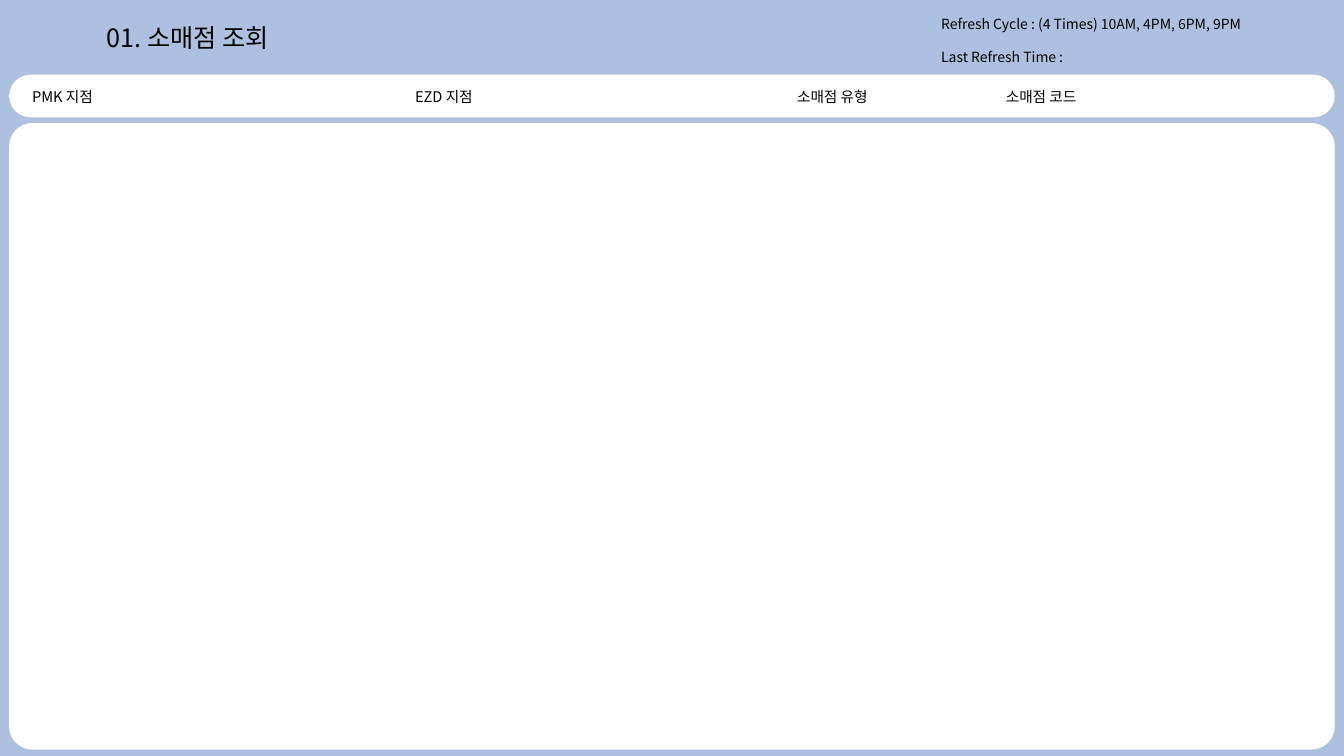
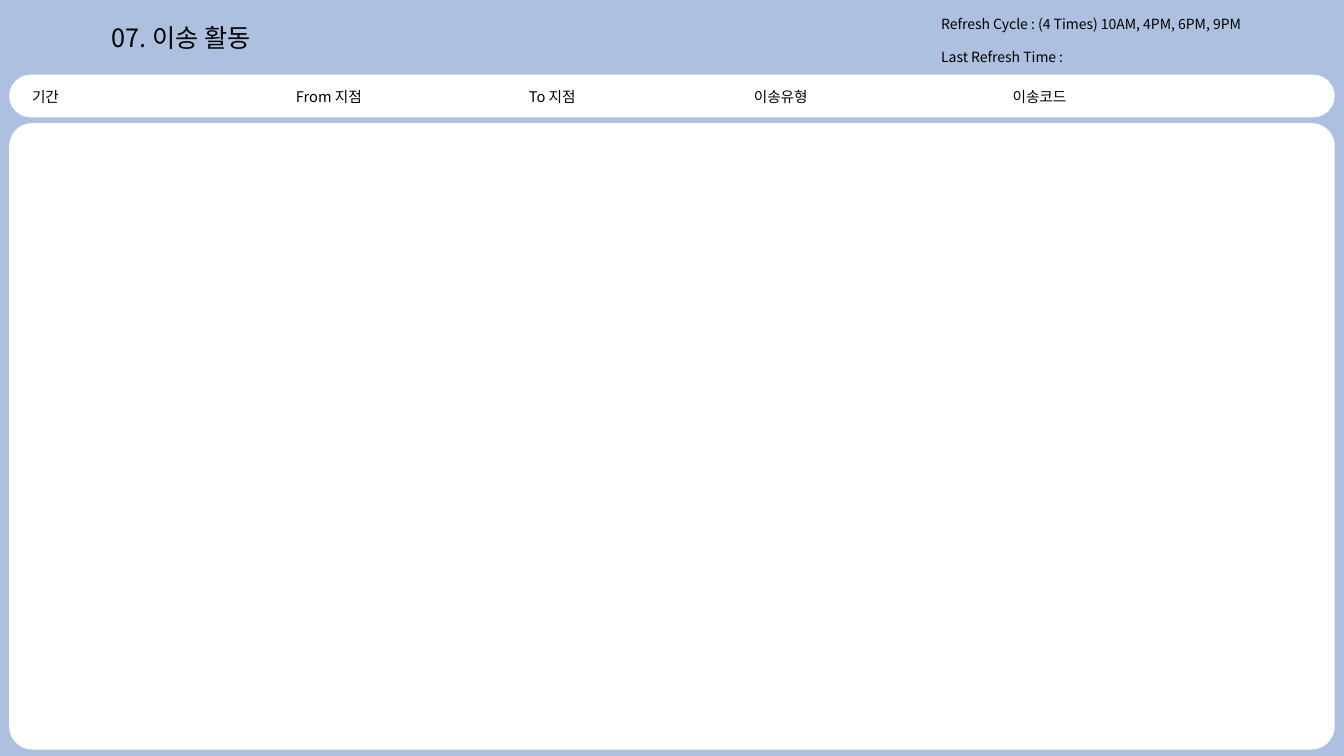
from lxml import etree
from pptx import Presentation
from pptx.dml.color import RGBColor
from pptx.enum import shapes, text
from pptx.oxml import ns
from pptx.util import Cm, Pt

NARROW, WIDE = 2.29, 2.84

# Filters: label, left, width (cm)
SCREENS = [
    {
        "title": "01. 소매점 조회",
        "title_left": 2.44,
        "filters": [
            ("PMK 지점", 0.56, NARROW),
            ("EZD 지점", 10.21, NARROW),
            ("소매점 유형", 19.84, WIDE),
            ("소매점 코드", 25.1, WIDE),
        ],
    },
    {
        "title": "07. 이송 활동",
        "title_left": 2.56,
        "filters": [
            ("기간", 0.56, NARROW),
            ("From 지점", 7.21, WIDE),
            ("To 지점", 13.08, WIDE),
            ("이송유형", 18.75, WIDE),
            ("이송코드", 25.27, WIDE),
        ],
    },
]
REFRESH = ["Refresh Cycle : (4 Times) 10AM, 4PM, 6PM, 9PM", "Last Refresh Time :"]

THEME = {
    "font": "Noto Sans CJK KR",
    "ink": RGBColor(0, 0, 0),
    "panel": RGBColor(0xFF, 0xFF, 0xFF),
    "background": RGBColor(0xAD, 0xC0, 0xDF),
    "title": 18,
    "label": 10.5,
    "refresh": 10,
    "leading": 1.2,
}
WIDTH, HEIGHT = 33.87, 19.05
EDGE = 0.25
# Panels: top, height (cm), corner ratio
PANELS = [(3.12, 15.75, 0.036), (1.9, 1.04, 0.5)]
TITLE_TOP, TITLE_WIDTH, TITLE_HEIGHT = 0.43, 6.12, 1.02
LABEL_TOP, LABEL_HEIGHT = 2.08, 0.71
REFRESH_BOX = (23.47, 0.25, 10.13, 1.4)


def write(sp, lines, size, later_lines=1):
    """Fill a box; later_lines is the line spacing after the first line."""
    tf = sp.text_frame
    frame = {
        "word_wrap": True,
        "auto_size": text.MSO_AUTO_SIZE.NONE,
        "vertical_anchor": text.MSO_ANCHOR.TOP,
        "margin_left": Cm(0.25), "margin_right": Cm(0.25),
        "margin_top": Cm(0.13), "margin_bottom": Cm(0.13),
    }
    for name, value in frame.items():
        setattr(tf, name, value)
    for i, line in enumerate(lines):
        p = tf.add_paragraph() if i else tf.paragraphs[0]
        p.alignment = text.PP_ALIGN.LEFT
        p.space_before = Pt(0)
        p.line_spacing = Pt(size * THEME["leading"] * (later_lines if i else 1))
        r = p.add_run()
        r.text = line
        r.font.size = Pt(size)
        r.font.color.rgb = THEME["ink"]
        r.font.name = THEME["font"]
        ea = etree.SubElement(r.font._element, ns.qn("a:ea"))
        ea.set("typeface", THEME["font"])


def add_panel(s, top, height, corner):
    sp = s.shapes.add_shape(shapes.MSO_SHAPE.ROUNDED_RECTANGLE, Cm(EDGE), Cm(top),
                            Cm(WIDTH - 2 * EDGE), Cm(height))
    sp.adjustments[0] = corner
    sp.shadow.inherit = False
    sp.fill.solid()
    sp.fill.fore_color.rgb = THEME["panel"]
    sp.line.color.rgb = THEME["panel"]
    sp.line.width = Pt(1)


def add_text(s, box, lines, size, later_lines=1):
    sp = s.shapes.add_textbox(*map(Cm, box))
    write(sp, lines, size, later_lines)


def add_screen(prs, screen):
    s = prs.slides.add_slide(prs.slide_layouts[5])
    title = s.shapes.title
    box = (screen["title_left"], TITLE_TOP, TITLE_WIDTH, TITLE_HEIGHT)
    for name, value in zip(("left", "top", "width", "height"), box):
        setattr(title, name, Cm(value))
    write(title, [screen["title"]], THEME["title"])
    for panel in PANELS:
        add_panel(s, *panel)
    add_text(s, REFRESH_BOX, REFRESH, THEME["refresh"], later_lines=2)
    for label, left, width in screen["filters"]:
        add_text(s, (left, LABEL_TOP, width, LABEL_HEIGHT), [label], THEME["label"])


def main():
    prs = Presentation()
    prs.slide_width, prs.slide_height = Cm(WIDTH), Cm(HEIGHT)
    fill = prs.slide_master.background.fill
    fill.solid()
    fill.fore_color.rgb = THEME["background"]
    for screen in SCREENS:
        add_screen(prs, screen)
    prs.save("out.pptx")


if __name__ == "__main__":
    main()
